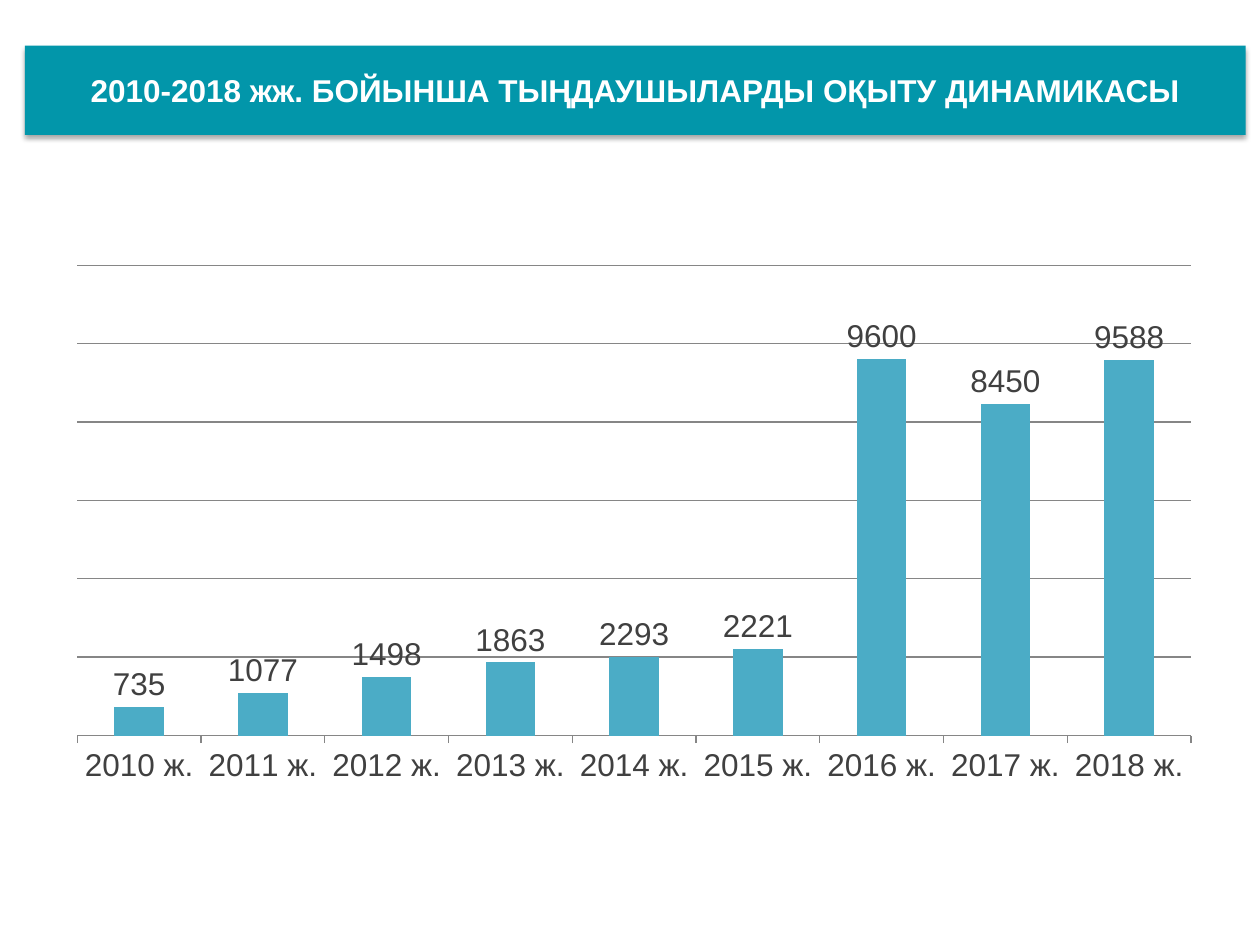
from dataclasses import dataclass
from typing import Any, NamedTuple, Optional

import pptx
import pptx.chart.data
import pptx.dml.color
import pptx.enum.chart
import pptx.enum.shapes
import pptx.enum.text
import pptx.oxml
import pptx.oxml.ns
import pptx.util
from pptx.util import Cm, Pt

RGB = pptx.dml.color.RGBColor.from_string


@dataclass(frozen=True)
class Theme:
    banner: Any = RGB("0296AA")
    banner_text: Any = RGB("FFFFFF")
    bar: Any = RGB("4BACC6")
    chart_text: Any = RGB("404040")
    line: Any = RGB("868686")
    font: str = "Arial"
    size: Any = Pt(18)


class Box(NamedTuple):
    left: float
    top: float
    width: float
    height: float

    def lengths(self) -> list:
        return [Cm(v) for v in self]


class Year(NamedTuple):
    name: str
    listeners: int
    label: Optional[str] = None


THEME = Theme()
TITLE = "2010-2018 жж. БОЙЫНША ТЫҢДАУШЫЛАРДЫ ОҚЫТУ ДИНАМИКАСЫ"
BANNER_BOX = Box(0.5, 0.92, 24.61, 1.8)
CHART_BOX = Box(1.09, 5.13, 23.39, 10.9)
PLOT_SHARE = {"x": 0.02, "y": 0.02, "w": 0.96, "h": 0.87}
YEARS = [
    Year("2010 ж.", 735),
    Year("2011 ж.", 1077),
    Year("2012 ж.", 1498),
    Year("2013 ж.", 1863),
    Year("2014 ж.", 2013, "2293"),
    Year("2015 ж.", 2221),
    Year("2016 ж.", 9600),
    Year("2017 ж.", 8450),
    Year("2018 ж.", 9588),
]
SHADOW = (
    '<a:outerShdw %s blurRad="%d" dist="%d" dir="5400000" rotWithShape="0">'
    '<a:srgbClr val="000000"><a:alpha val="35000"/></a:srgbClr></a:outerShdw>'
)


def apply(target: Any, values: dict) -> None:
    for name, value in values.items():
        setattr(target, name, value)


def style_font(font: Any, color: Any, bold: bool = False) -> None:
    apply(font, {"name": THEME.font, "size": THEME.size, "bold": bold})
    font.color.rgb = color


def add_banner(s: Any, box: Box, text: str) -> None:
    sp = s.shapes.add_shape(pptx.enum.shapes.MSO_SHAPE.RECTANGLE, *box.lengths())
    sp.fill.solid()
    sp.fill.fore_color.rgb = THEME.banner
    sp.line.fill.background()
    sp.shadow.inherit = False
    effects = sp._element.spPr.find(pptx.oxml.ns.qn("a:effectLst"))
    effects.append(pptx.oxml.parse_xml(
        SHADOW % (pptx.oxml.ns.nsdecls("a"), Pt(3.1), Pt(1.8))))
    tf = sp.text_frame
    apply(tf, {"word_wrap": True,
               "vertical_anchor": pptx.enum.text.MSO_ANCHOR.MIDDLE})
    p = tf.paragraphs[0]
    p.alignment = pptx.enum.text.PP_ALIGN.CENTER
    r = p.add_run()
    r.text = text
    style_font(r.font, THEME.banner_text, True)


def set_plot_layout(chart: Any, shares: dict) -> None:
    area = chart._chartSpace.chart.plotArea
    for old in area.findall(pptx.oxml.ns.qn("c:layout")):
        area.remove(old)
    parts = ['<c:layoutTarget val="inner"/>']
    parts += [f'<c:{k}Mode val="edge"/>' for k in "xy"]
    parts += [f'<c:{k} val="{v}"/>' for k, v in shares.items()]
    area.insert(0, pptx.oxml.parse_xml(
        f'<c:layout {pptx.oxml.ns.nsdecls("c")}><c:manualLayout>'
        f'{"".join(parts)}</c:manualLayout></c:layout>'))


def add_column_chart(s: Any, box: Box, years: list[Year]) -> None:
    enums = pptx.enum.chart
    data = pptx.chart.data.CategoryChartData()
    data.categories = [y.name for y in years]
    data.add_series("Series 1", [y.listeners for y in years])
    chart = s.shapes.add_chart(
        enums.XL_CHART_TYPE.COLUMN_CLUSTERED, *box.lengths(), data).chart
    apply(chart, {"has_legend": False, "has_title": False})
    style_font(chart.font, THEME.chart_text)
    set_plot_layout(chart, PLOT_SHARE)

    values, categories = chart.value_axis, chart.category_axis
    apply(values, {"minimum_scale": 0, "maximum_scale": 12000, "major_unit": 2000,
                   "has_major_gridlines": True, "visible": False})
    apply(categories, {"major_tick_mark": enums.XL_TICK_MARK.OUTSIDE,
                       "has_major_gridlines": False})
    for fmt in (values.major_gridlines.format, categories.format):
        fmt.line.color.rgb = THEME.line
        fmt.line.width = Pt(0.75)

    plot = chart.plots[0]
    apply(plot, {"gap_width": 150, "vary_by_categories": False,
                 "has_data_labels": True})
    outside = enums.XL_LABEL_POSITION.OUTSIDE_END
    apply(plot.data_labels, {"show_value": True, "position": outside})
    style_font(plot.data_labels.font, THEME.chart_text)
    series = plot.series[0]
    series.format.fill.solid()
    series.format.fill.fore_color.rgb = THEME.bar
    labels = series.data_labels
    apply(labels, {"show_value": True, "position": outside})
    style_font(labels.font, THEME.chart_text)
    for i, year in enumerate(years):
        if year.label:
            label = series.points[i].data_label
            r = label.text_frame.paragraphs[0].add_run()
            r.text = year.label
            style_font(r.font, THEME.chart_text)
            label.position = outside


def main() -> None:
    prs = pptx.Presentation()
    apply(prs, {"slide_width": Cm(25.4), "slide_height": Cm(19.05)})
    s = prs.slides.add_slide(prs.slide_layouts[6])
    add_banner(s, BANNER_BOX, TITLE)
    add_column_chart(s, CHART_BOX, YEARS)
    prs.save("out.pptx")


main()
